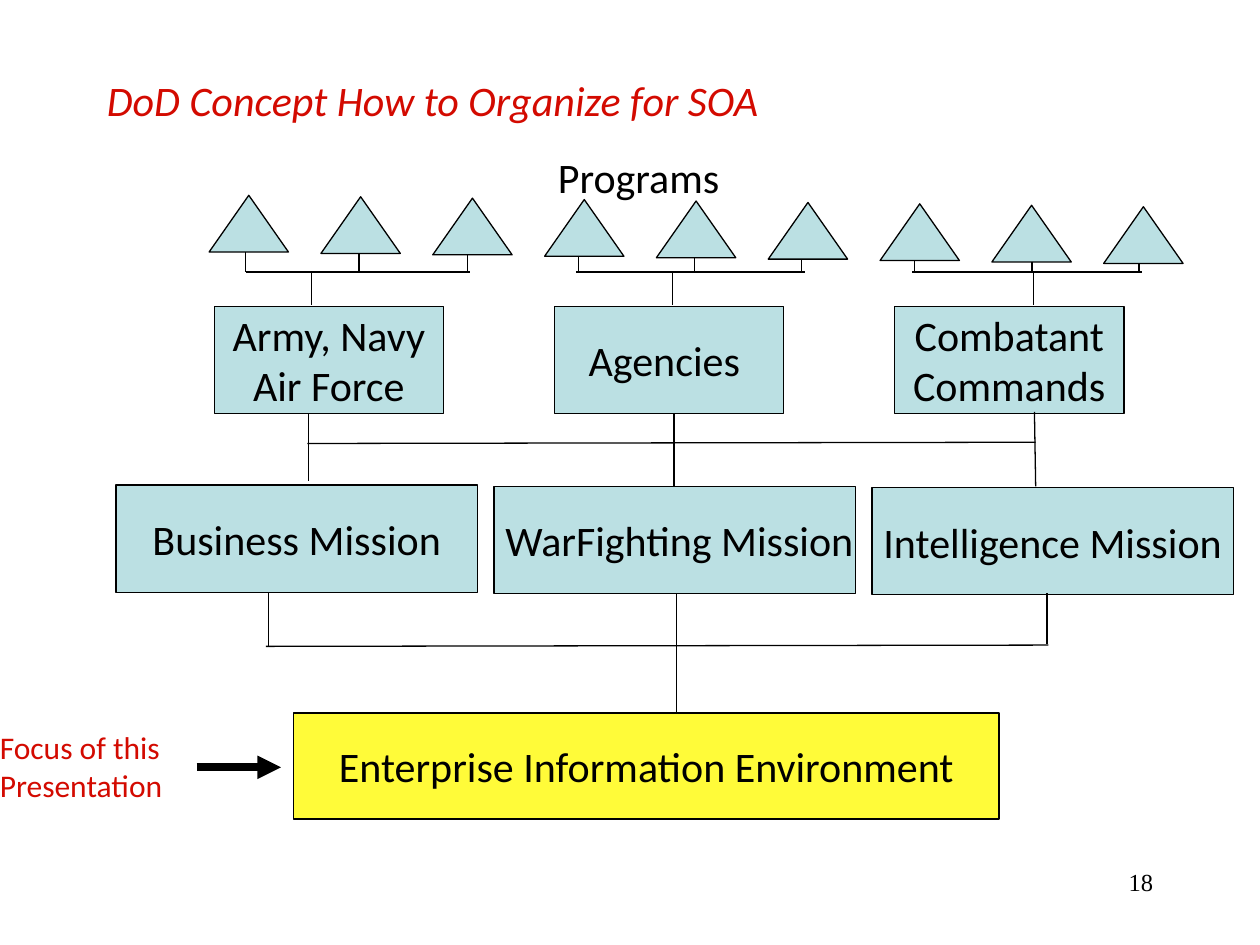
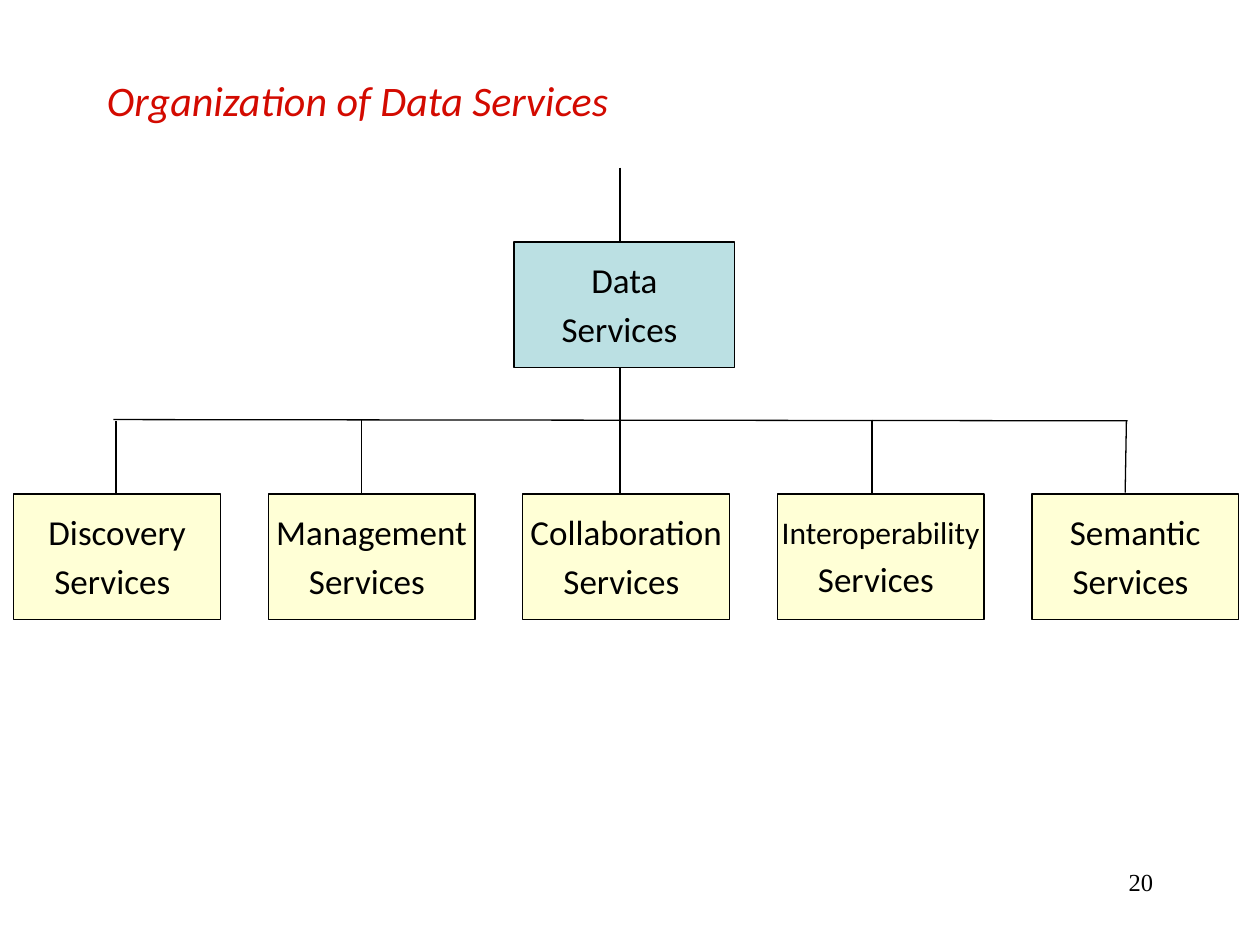
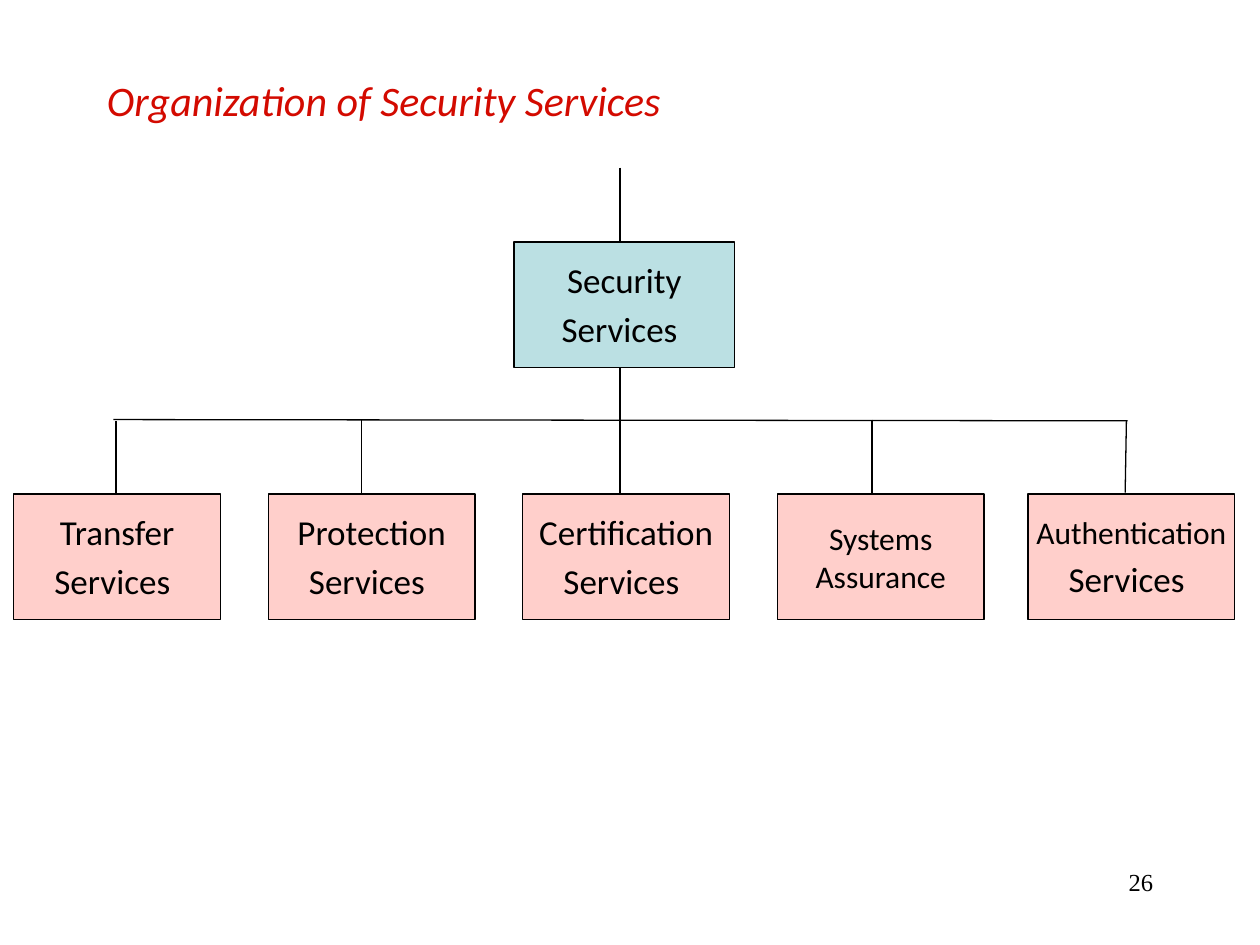
from dataclasses import dataclass

from lxml.etree import SubElement
from pptx import Presentation
from pptx.dml.color import RGBColor
from pptx.enum.shapes import MSO_CONNECTOR, MSO_SHAPE
from pptx.enum.text import MSO_ANCHOR, MSO_AUTO_SIZE, PP_ALIGN
from pptx.oxml.ns import qn
from pptx.presentation import Presentation as Deck
from pptx.slide import Slide
from pptx.text.text import TextFrame
from pptx.util import Inches, Pt

BLACK = RGBColor(0x00, 0x00, 0x00)
RED = RGBColor(0xD3, 0x0A, 0x00)
TEAL = RGBColor(0xBB, 0xE0, 0xE3)
YELLOW = RGBColor(0xFF, 0xFB, 0x39)
CREAM = RGBColor(0xFF, 0xFF, 0xD6)
PINK = RGBColor(0xFF, 0xCF, 0xCB)
BODY_FONT = "Calibri"
NUMBER_FONT = "Times New Roman"
LINE_WIDTH = 0.75


@dataclass(frozen=True)
class Area:
    left: float
    top: float
    width: float
    height: float


@dataclass(frozen=True)
class Label:
    text: str
    size: int = 24
    trailing_space: bool = False


@dataclass(frozen=True)
class Box:
    area: Area
    labels: tuple[Label, ...]
    fill: RGBColor = TEAL


@dataclass(frozen=True)
class Link:
    x1: float
    y1: float
    x2: float
    y2: float


@dataclass(frozen=True)
class ServiceChart:
    title: str
    number: int
    root: str
    services: tuple[tuple[Label, ...], ...]
    last_left: float
    fill: RGBColor


SERVICES = Label("Services", 20, trailing_space=True)


def write_labels(
    frame: TextFrame,
    labels: tuple[Label, ...],
    color: RGBColor = BLACK,
    align: PP_ALIGN = PP_ALIGN.LEFT,
    font_name: str = BODY_FONT,
    italic: bool = False,
) -> None:
    frame.text = "\n".join(label.text for label in labels)
    for paragraph, label in zip(frame.paragraphs, labels):
        paragraph.alignment = align
        paragraph.runs[0].font.size = Pt(label.size)
        if label.trailing_space:
            space = paragraph.add_run()
            space.text = " "
            space.font.size = Pt(24)
        for run in paragraph.runs:
            run.font.name = font_name
            run.font.color.rgb = color
            run.font.italic = italic


def add_text(slide: Slide, area: Area, wrap: bool = True) -> TextFrame:
    frame = slide.shapes.add_textbox(
        Inches(area.left), Inches(area.top), Inches(area.width), Inches(area.height)
    ).text_frame
    frame.word_wrap = wrap
    frame.auto_size = MSO_AUTO_SIZE.NONE if wrap else MSO_AUTO_SIZE.SHAPE_TO_FIT_TEXT
    return frame


def add_figure(slide: Slide, preset: MSO_SHAPE, area: Area, fill: RGBColor) -> TextFrame:
    figure = slide.shapes.add_shape(
        preset, Inches(area.left), Inches(area.top), Inches(area.width), Inches(area.height)
    )
    figure.shadow.inherit = False
    figure.fill.solid()
    figure.fill.fore_color.rgb = fill
    figure.line.color.rgb = BLACK
    figure.line.width = Pt(LINE_WIDTH)
    return figure.text_frame


def add_box(slide: Slide, box: Box) -> None:
    frame = add_figure(slide, MSO_SHAPE.RECTANGLE, box.area, box.fill)
    frame.word_wrap = False
    frame.vertical_anchor = MSO_ANCHOR.MIDDLE
    write_labels(frame, box.labels, align=PP_ALIGN.CENTER)


def add_link(slide: Slide, link: Link, width: float = LINE_WIDTH, arrow: bool = False) -> None:
    connector = slide.shapes.add_connector(
        MSO_CONNECTOR.STRAIGHT,
        Inches(link.x1), Inches(link.y1), Inches(link.x2), Inches(link.y2),
    )
    connector.line.color.rgb = BLACK
    connector.line.width = Pt(width)
    properties = connector._element.spPr
    if arrow:
        SubElement(properties.find(qn("a:ln")), qn("a:tailEnd"), type="triangle")
    SubElement(properties, qn("a:effectLst"))


def add_page(deck: Deck, title: str, number: int) -> Slide:
    slide = deck.slides.add_slide(deck.slide_layouts[6])
    heading = add_text(slide, Area(0.75, 0.5, 8.5, 0.58))
    heading.vertical_anchor = MSO_ANCHOR.MIDDLE
    write_labels(heading, (Label(title),), RED, italic=True)
    page_number = add_text(slide, Area(7.17, 6.83, 2.08, 0.5))
    write_labels(
        page_number, (Label(str(number), 14),), align=PP_ALIGN.RIGHT, font_name=NUMBER_FONT
    )
    return slide


def add_programs(slide: Slide) -> None:
    bus_y = 2.16
    stems = (1.95, 2.85, 3.71, 4.59, 5.51, 6.36, 7.26, 8.19, 9.04)
    for index, stem in enumerate(stems):
        program = Area(1.66 + index * 0.8875, 1.55 + index * 0.0113, 0.63, 0.45)
        add_figure(slide, MSO_SHAPE.ISOSCELES_TRIANGLE, program, TEAL)
        add_link(slide, Link(stem, program.top + program.height, stem, bus_y))
    for left, right, trunk in ((1.95, 3.73, 2.47), (4.57, 6.39, 5.34), (7.24, 9.06, 8.2)):
        add_link(slide, Link(left, bus_y, right, bus_y))
        add_link(slide, Link(trunk, bus_y, trunk, 2.42))
    write_labels(add_text(slide, Area(4.33, 1.15, 1.74, 0.5), wrap=False), (Label("Programs"),))


def add_concept_page(deck: Deck) -> None:
    slide = add_page(deck, "DoD Concept How to Organize for SOA", 18)
    add_box(
        slide,
        Box(Area(2.33, 5.66, 5.6, 0.84), (Label("Enterprise Information Environment"),), YELLOW),
    )
    missions = ("Business Mission", " WarFighting Mission", "Intelligence Mission")
    for index, mission in enumerate(missions):
        area = Area(0.92 + index * 3, 3.85 + index * 0.01, 2.87, 0.85)
        add_box(slide, Box(area, (Label(mission),)))
    organizations = (("Army, Navy", "Air Force"), ("Agencies ",), ("Combatant", "Commands"))
    for index, names in enumerate(organizations):
        area = Area(1.7 + index * 2.7, 2.43, 1.82, 0.85)
        add_box(slide, Box(area, tuple(Label(name) for name in names)))
    add_programs(slide)

    mission_links = (
        Link(2.44, 3.52, 8.22, 3.51),
        Link(2.45, 3.28, 2.45, 3.82),
        Link(5.35, 3.28, 5.35, 3.86),
        Link(8.21, 3.27, 8.22, 3.86),
    )
    enterprise_links = (
        Link(2.11, 5.13, 8.32, 5.12),
        Link(2.13, 4.7, 2.13, 5.13),
        Link(5.37, 4.71, 5.37, 5.66),
        Link(8.31, 4.71, 8.31, 5.11),
    )
    for link in mission_links + enterprise_links:
        add_link(slide, link)

    focus = add_text(slide, Area(-0.1, 5.73, 1.75, 0.7), wrap=False)
    write_labels(focus, (Label("Focus of this", 18), Label("Presentation", 18)), RED)
    add_link(slide, Link(1.56, 6.09, 2.23, 6.09), width=4.5, arrow=True)


def add_service_page(deck: Deck, chart: ServiceChart) -> None:
    slide = add_page(deck, chart.title, chart.number)
    add_box(slide, Box(Area(4.08, 1.92, 1.75, 1), (Label(chart.root, 20), SERVICES)))
    lefts = [0.11 + index * 2.02 for index in range(4)] + [chart.last_left]
    for left, labels in zip(lefts, chart.services):
        add_box(slide, Box(Area(left, 3.92, 1.64, 1), labels, chart.fill))
    service_links = (
        Link(4.92, 1.33, 4.92, 1.92),
        Link(4.92, 2.92, 4.92, 3.92),
        Link(0.9, 3.33, 8.95, 3.34),
        Link(0.92, 3.34, 0.92, 3.92),
        Link(2.87, 3.33, 2.87, 3.92),
        Link(6.92, 3.33, 6.92, 3.92),
        Link(8.94, 3.34, 8.93, 3.91),
    )
    for link in service_links:
        add_link(slide, link)


SERVICE_CHARTS = (
    ServiceChart(
        "Organization of Data Services",
        20,
        "Data",
        (
            (Label("Discovery", 20), SERVICES),
            (Label("Management", 20), SERVICES),
            (Label("Collaboration", 20), SERVICES),
            (Label("Interoperability", 18), SERVICES),
            (Label("Semantic", 20), SERVICES),
        ),
        8.19,
        CREAM,
    ),
    ServiceChart(
        "Organization of Security Services",
        26,
        "Security",
        (
            (Label("Transfer", 20), SERVICES),
            (Label("Protection", 20), SERVICES),
            (Label("Certification", 20), SERVICES),
            (Label("Systems", 18), Label("Assurance", 18)),
            (Label("Authentication", 18), SERVICES),
        ),
        8.16,
        PINK,
    ),
)


def main() -> None:
    deck = Presentation()
    deck.slide_width = Inches(10)
    deck.slide_height = Inches(7.5)
    add_concept_page(deck)
    for chart in SERVICE_CHARTS:
        add_service_page(deck, chart)
    deck.save("out.pptx")


if __name__ == "__main__":
    main()
